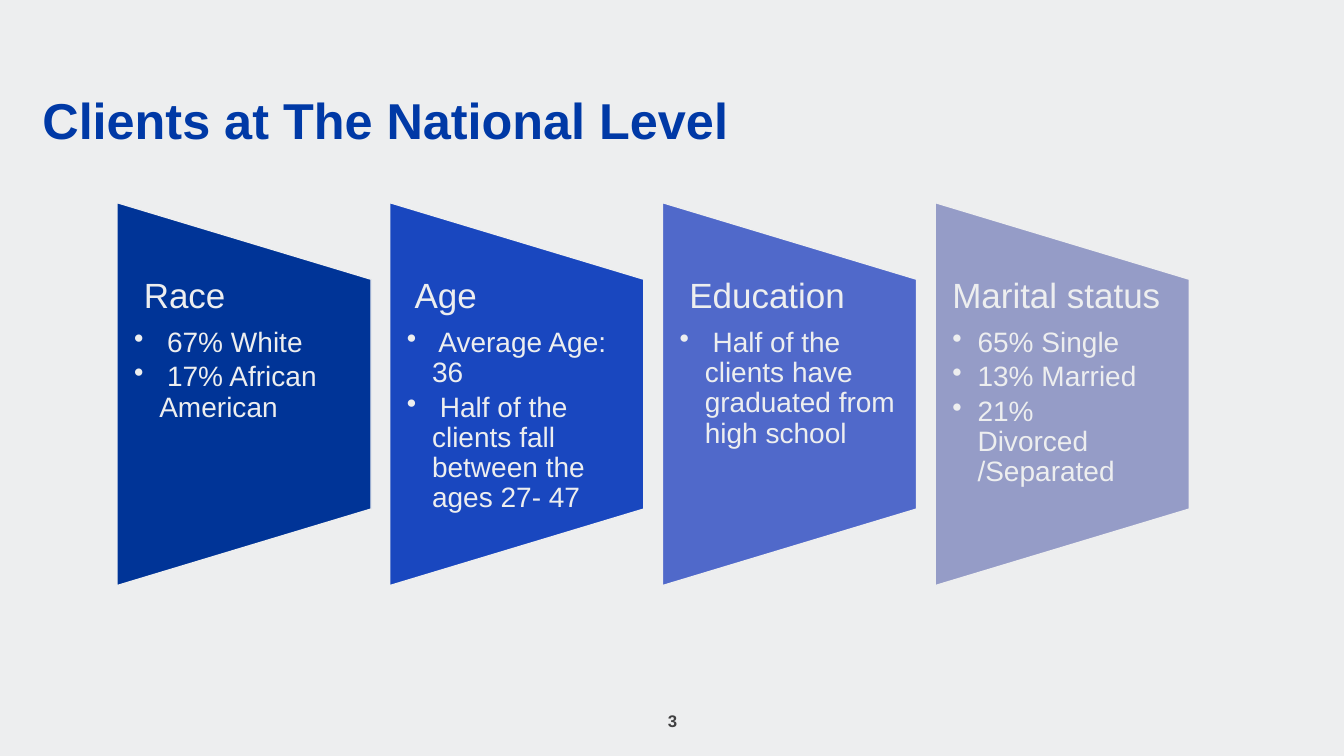
from lxml import etree
from pptx import Presentation
from pptx.dml.color import RGBColor
from pptx.enum.shapes import MSO_SHAPE
from pptx.enum.text import MSO_ANCHOR, MSO_AUTO_SIZE, PP_ALIGN
from pptx.oxml.ns import qn
from pptx.util import Inches, Pt

# Content; leading no-break spaces set the first words in slightly
TITLE = "Clients at The National Level"
PAGE_NUMBER = "3"
PALE = RGBColor(0xED, 0xEE, 0xEF)
TITLE_BLUE = RGBColor(0x00, 0x39, 0xA6)
GREY = RGBColor(0x40, 0x40, 0x41)
PANELS = [
    (" Race", RGBColor(0x00, 0x34, 0x97),
     [" 67% White", " 17% African American"]),
    (" Age", RGBColor(0x19, 0x47, 0xBF),
     [" Average Age: 36", " Half of the clients fall between the ages 27- 47"]),
    (" Education", RGBColor(0x50, 0x69, 0xCA),
     [" Half of the clients have graduated from high school"]),
    ("Marital status", RGBColor(0x95, 0x9C, 0xC7),
     ["65% Single", "13% Married", "21% Divorced /Separated"]),
]

# Layout, in inches
PANEL_LEFT, PANEL_TOP, PANEL_PITCH = 1.16, 2.01, 2.705
PANEL_WIDTH, PANEL_HEIGHT = 2.52, 3.8
TEXT_TOP, TEXT_HEIGHT = 2.76, 2.28


def set_frame(frame, anchor, side=0.0):
    settings = {
        "word_wrap": True, "auto_size": MSO_AUTO_SIZE.NONE,
        "vertical_anchor": anchor,
        "margin_left": Inches(side), "margin_right": Inches(side),
        "margin_top": 0, "margin_bottom": 0,
    }
    for name, value in settings.items():
        setattr(frame, name, value)


def write(paragraph, text, size, color, bold=False, align=PP_ALIGN.LEFT,
          line_spacing=0.9, space_after=0):
    paragraph.alignment = align
    paragraph.line_spacing = line_spacing
    paragraph.space_after = Pt(space_after)
    run = paragraph.add_run()
    run.text = text
    font = {"name": "Arial", "size": Pt(size), "bold": bold}
    for name, value in font.items():
        setattr(run.font, name, value)
    run.font.color.rgb = color


def add_bullet(paragraph):
    properties = paragraph._p.get_or_add_pPr()
    properties.set("marL", str(Inches(0.25)))
    properties.set("indent", str(-Inches(0.25)))
    etree.SubElement(properties, qn("a:buChar")).set("char", "•")


def add_panel(slide, left, heading, color, facts):
    # Trapezoid: drawn lying down, then turned about its centre
    shift = (PANEL_HEIGHT - PANEL_WIDTH) / 2
    trapezoid = slide.shapes.add_shape(
        MSO_SHAPE.FLOWCHART_MANUAL_OPERATION,
        Inches(left - shift), Inches(PANEL_TOP + shift),
        Inches(PANEL_HEIGHT), Inches(PANEL_WIDTH))
    trapezoid.rotation = 270
    trapezoid.shadow.inherit = False
    trapezoid.fill.solid()
    trapezoid.fill.fore_color.rgb = color
    trapezoid.line.color.rgb = PALE
    trapezoid.line.width = Pt(1)

    # Heading and bulleted facts
    frame = slide.shapes.add_textbox(
        Inches(left), Inches(TEXT_TOP),
        Inches(PANEL_WIDTH), Inches(TEXT_HEIGHT)).text_frame
    set_frame(frame, MSO_ANCHOR.TOP, side=0.17)
    write(frame.paragraphs[0], heading, 25, PALE, space_after=8.75)
    for fact in facts:
        paragraph = frame.add_paragraph()
        paragraph.level = 1
        add_bullet(paragraph)
        write(paragraph, fact, 20, PALE, space_after=3)


def main():
    deck = Presentation()
    deck.slide_width, deck.slide_height = Inches(13.33), Inches(7.5)
    slide = deck.slides.add_slide(deck.slide_layouts[5])
    slide.background.fill.solid()
    slide.background.fill.fore_color.rgb = PALE

    # Title
    title = slide.shapes.title
    title.left, title.top = Inches(0.42), Inches(0.94)
    title.width, title.height = Inches(12.5), Inches(0.55)
    set_frame(title.text_frame, MSO_ANCHOR.BOTTOM)
    write(title.text_frame.paragraphs[0], TITLE, 36, TITLE_BLUE, bold=True)

    # Page number
    number = slide.shapes.add_textbox(
        Inches(5.17), Inches(6.95), Inches(3), Inches(0.4)).text_frame
    set_frame(number, MSO_ANCHOR.MIDDLE)
    write(number.paragraphs[0], PAGE_NUMBER, 12, GREY, bold=True,
          align=PP_ALIGN.CENTER, line_spacing=1.0)

    # Panels
    for index, (heading, color, facts) in enumerate(PANELS):
        add_panel(slide, PANEL_LEFT + index * PANEL_PITCH, heading, color, facts)

    deck.save("out.pptx")


if __name__ == "__main__":
    main()
